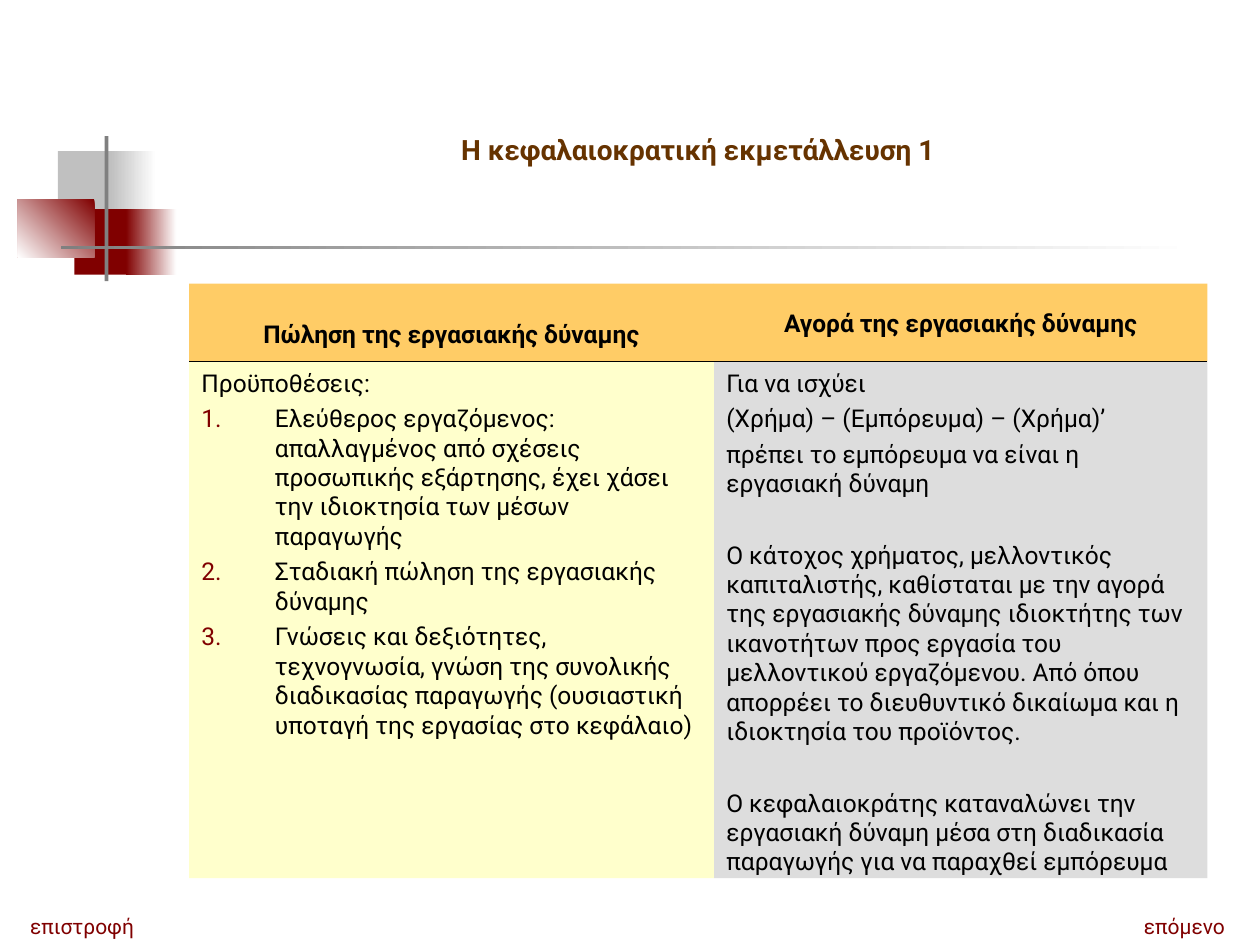
"""Build the slide on capitalist exploitation: sale and purchase of labour power."""
import lxml.etree
import pptx
import pptx.dml.color
import pptx.enum.shapes
import pptx.enum.text
import pptx.oxml.ns
import pptx.util

Pt = pptx.util.Pt
RGBColor = pptx.dml.color.RGBColor
Align = pptx.enum.text.PP_ALIGN
Anchor = pptx.enum.text.MSO_ANCHOR
qn = pptx.oxml.ns.qn

WHITE = RGBColor(0xFF, 0xFF, 0xFF)
BLACK = RGBColor(0x00, 0x00, 0x00)
SILVER = RGBColor(0xC0, 0xC0, 0xC0)
GREY = RGBColor(0x80, 0x80, 0x80)
PALE_GREY = RGBColor(0xDD, 0xDD, 0xDD)
MAROON = RGBColor(0x80, 0x00, 0x00)
BROWN = RGBColor(0x66, 0x33, 0x00)
ORANGE = RGBColor(0xFF, 0xCC, 0x66)
CREAM = RGBColor(0xFF, 0xFF, 0xCC)

COLUMNS = ((108, 300), (408, 282))
HEADER_TOP, HEADER_HEIGHT, BODY_HEIGHT = 162, 44.6, 295.2
BODY_TOP = HEADER_TOP + HEADER_HEIGHT
INDENT = 42
GAP, SECTION_GAP = 3.5, 24

ORNAMENTS = (
    ((33.1, 86.4, 34.6, 37.4), SILVER, None),
    ((63.4, 86.4, 25.9, 37.4), SILVER, 0),
    ((42.5, 119.5, 33.1, 37.4), MAROON, None),
    ((72, 119.5, 28.8, 37.4), MAROON, 0),
    ((10.1, 113.8, 43.9, 33.1), MAROON, 225),
    ((59.8, 77.8, 2.2, 82.8), GREY, None),
    ((34.6, 140.4, 648, 2.2), GREY, 0),
)
HEADINGS = (
    ("Πώληση της εργασιακής δύναμης", 1.75),
    ("Αγορά της εργασιακής δύναμης", 1),
)
CONDITIONS = (
    "Προϋποθέσεις:",
    "Ελεύθερος εργαζόμενος: απαλλαγμένος από σχέσεις προσωπικής εξάρτησης, "
    "έχει χάσει την ιδιοκτησία των μέσων παραγωγής",
    "Σταδιακή πώληση της εργασιακής δύναμης",
    "Γνώσεις και δεξιότητες, τεχνογνωσία, γνώση της συνολικής διαδικασίας "
    "παραγωγής (ουσιαστική υποταγή της εργασίας στο κεφάλαιο)",
)
PURCHASE = (
    ("Για να ισχύει", GAP),
    ("(Χρήμα) – (Εμπόρευμα) – (Χρήμα)’", GAP),
    ("πρέπει το εμπόρευμα να είναι η εργασιακή δύναμη", GAP),
    ("Ο κάτοχος χρήματος, μελλοντικός καπιταλιστής, καθίσταται με την αγορά "
     "της εργασιακής δύναμης ιδιοκτήτης των ικανοτήτων προς εργασία του "
     "μελλοντικού εργαζόμενου. Από όπου απορρέει το διευθυντικό δικαίωμα και "
     "η ιδιοκτησία του προϊόντος.", SECTION_GAP),
    ("Ο κεφαλαιοκράτης καταναλώνει την εργασιακή δύναμη μέσα στη διαδικασία "
     "παραγωγής για να παραχθεί εμπόρευμα", SECTION_GAP),
)


class SlideBuilder:
    """Hold the text style and the current page, and draw each kind of element."""

    font = "Roboto"
    size = 14

    def __init__(self, page):
        self.page = page

    def rectangle(self, frame, color, angle=None):
        """Draw a plain rectangle, fading to white when an angle is given."""
        box = self.page.shapes.add_shape(
            pptx.enum.shapes.MSO_SHAPE.RECTANGLE, *map(Pt, frame))
        box.shadow.inherit = False
        box.line.fill.background()
        if angle is None:
            box.fill.solid()
            box.fill.fore_color.rgb = color
        else:
            box.fill.gradient()
            box.fill.gradient_angle = angle
            for stop, shade in zip(box.fill.gradient_stops, (color, WHITE)):
                stop.color.rgb = shade
        return box

    def set_text(self, box, lines, color=BLACK, size=size, bold=False,
                 align=Align.LEFT, anchor=Anchor.TOP):
        """Fill a shape with one styled paragraph per line."""
        frame = box.text_frame
        frame.word_wrap = True
        frame.vertical_anchor = anchor
        frame.text = "\n".join(lines)
        for para in frame.paragraphs:
            para.alignment = align
            for span in para.runs:
                span.font.name = self.font
                span.font.size = Pt(size)
                span.font.bold = bold
                span.font.color.rgb = color
        return frame.paragraphs

    def label(self, frame, text, color, size, wrap=False, **style):
        """Add a free line of text."""
        box = self.page.shapes.add_textbox(*map(Pt, frame))
        self.set_text(box, [text], color, size, **style)
        box.text_frame.word_wrap = wrap
        box.text_frame.auto_size = pptx.enum.text.MSO_AUTO_SIZE.SHAPE_TO_FIT_TEXT

    def cell(self, frame, fill, lines, **style):
        """Add a filled cell and return its paragraphs."""
        return self.set_text(self.rectangle(frame, fill), lines, **style)

    def number(self, para, color):
        """Number a paragraph in the given colour."""
        properties = para._p.get_or_add_pPr()
        tint = lxml.etree.SubElement(properties, qn("a:buClr"))
        lxml.etree.SubElement(tint, qn("a:srgbClr"), val=str(color))
        lxml.etree.SubElement(properties, qn("a:buFont"), typeface=self.font)
        lxml.etree.SubElement(properties, qn("a:buAutoNum"), type="arabicPeriod")

    def rule(self, start, end, color, width):
        """Draw a straight line."""
        line = self.page.shapes.add_connector(
            pptx.enum.shapes.MSO_CONNECTOR.STRAIGHT, *map(Pt, start + end))
        line.line.color.rgb = color
        line.line.width = Pt(width)
        lxml.etree.SubElement(line._element.spPr, qn("a:effectLst"))


def main():
    """Build and save the deck."""
    deck = pptx.Presentation()
    deck.slide_width, deck.slide_height = Pt(720), Pt(540)
    builder = SlideBuilder(deck.slides.add_slide(deck.slide_layouts[6]))

    for frame, color, angle in ORNAMENTS:
        builder.rectangle(frame, color, angle)

    builder.label((10.1, 518.4, 75.6, 21.6), "επιστροφή", MAROON, 12)
    builder.label((131.8, 72, 534.2, 26.6), "H κεφαλαιοκρατική εκμετάλλευση 1",
                  BROWN, 16, wrap=True, bold=True, align=Align.CENTER)
    builder.label((646.6, 518.4, 61.9, 21.6), "επόμενο", MAROON, 12)

    sale_frame, purchase_frame = (
        (left, BODY_TOP, width, BODY_HEIGHT) for left, width in COLUMNS)

    paragraphs = builder.cell(purchase_frame, PALE_GREY, [text for text, _ in PURCHASE])
    for para, (_, gap) in zip(paragraphs, PURCHASE):
        para.space_before = Pt(gap)

    paragraphs = builder.cell(sale_frame, CREAM, CONDITIONS)
    for index, para in enumerate(paragraphs):
        para.space_before = Pt(GAP)
        properties = para._p.get_or_add_pPr()
        properties.set("marL", str(Pt(INDENT)))
        properties.set("indent", str(Pt(-INDENT)))
        if index:
            builder.number(para, MAROON)

    for (left, width), (heading, spacing) in zip(COLUMNS, HEADINGS):
        para = builder.cell((left, HEADER_TOP, width, HEADER_HEIGHT), ORANGE, [heading],
                            bold=True, align=Align.CENTER, anchor=Anchor.MIDDLE)[0]
        para.space_before = Pt(GAP)
        para.line_spacing = float(spacing)

    builder.rule((COLUMNS[0][0], BODY_TOP), (sum(COLUMNS[1]), BODY_TOP), BLACK, 1)
    deck.save("out.pptx")


if __name__ == "__main__":
    main()
